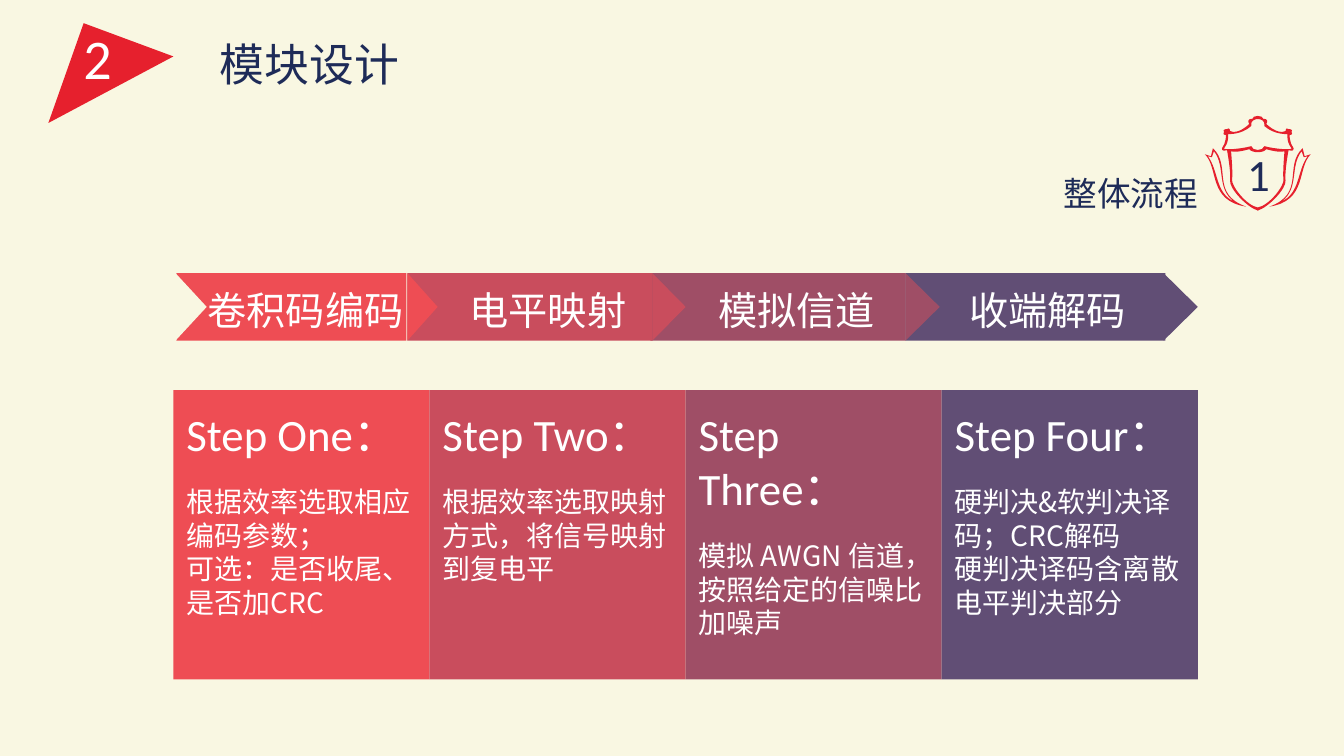
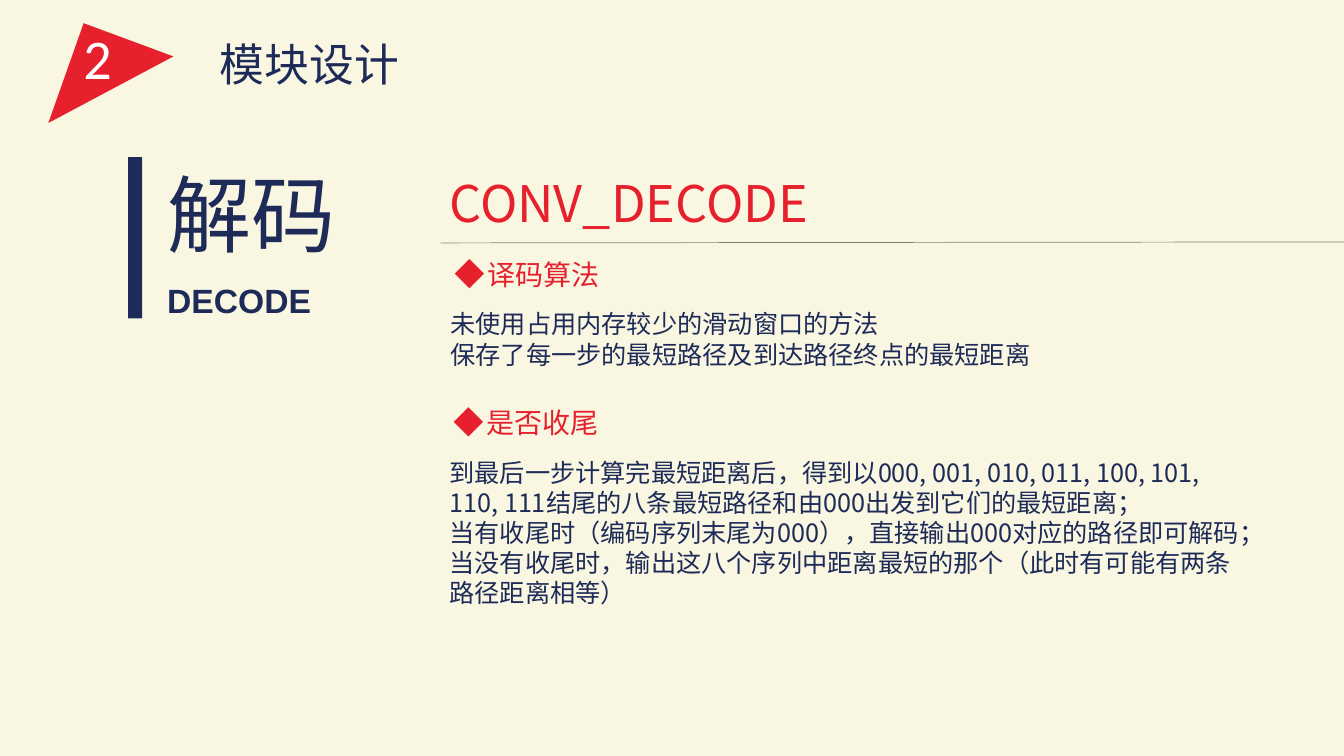
from dataclasses import dataclass

from lxml.etree import SubElement
from pptx import Presentation
from pptx.dml.color import RGBColor
from pptx.enum.shapes import MSO_CONNECTOR, MSO_SHAPE
from pptx.enum.text import MSO_ANCHOR, MSO_AUTO_SIZE, PP_ALIGN
from pptx.oxml.ns import qn
from pptx.util import Inches, Pt


@dataclass(frozen=True)
class Theme:
    cream: str = "F9F7E2"
    navy: str = "1E2B58"
    red: str = "E6202D"
    white: str = "FFFFFF"
    gray: str = "808080"
    steps: tuple = ("EE4D54", "C94D5D", "9F4E66", "614E75")
    chinese: str = "Noto Sans CJK SC"
    latin: str = "Calibri"
    accent: str = "Arial"
    huge: int = 60
    number: int = 40
    topic: int = 36
    title: int = 32
    label: int = 28
    subtitle: int = 24
    text: int = 20
    small: int = 18
    leading: float = 1.2


THEME = Theme()

TITLE = "模块设计"
CHAPTER = "2"
SECTION = ("1", "整体流程")
STEPS = [
    ("卷积码编码", "Step One：", ["根据效率选取相应编码参数；", "可选：是否收尾、是否加CRC"]),
    ("电平映射", "Step Two：", ["根据效率选取映射方式，将信号映射到复电平"]),
    ("模拟信道", "Step Three：", ["模拟 AWGN 信道，按照给定的信噪比加噪声"]),
    ("收端解码", "Step Four：", ["硬判决&软判决译码；CRC解码", "硬判决译码含离散电平判决部分"]),
]
DECODE = ("解码", "DECODE")
TOPIC = "CONV_DECODE"
NOTES = [
    (4.37, 2.45, 1.28, "译码算法", [
        "未使用占用内存较少的滑动窗口的方法",
        "保存了每一步的最短路径及到达路径终点的最短距离",
    ]),
    (4.36, 3.92, 2.19, "是否收尾", [
        "到最后一步计算完最短距离后，得到以000, 001, 010, 011, 100, 101, 110, 111"
        "结尾的八条最短路径和由000出发到它们的最短距离；",
        "当有收尾时（编码序列末尾为000），直接输出000对应的路径即可解码；",
        "当没有收尾时，输出这八个序列中距离最短的那个（此时有可能有两条路径距离相等）",
    ]),
]

FLAG = [(0.83, 0.23), (1.72, 0.56), (0.48, 1.22)]
BAR_TOP, BAR_HEIGHT = 2.71, 0.67
BARS = [
    {"bar": (1.75, 2.28), "label": (1.9, 2.26), "tip": (4.04, 0.3)},
    {"bar": (4.04, 2.43), "label": (4.22, 2.43), "tip": (6.47, 0.33)},
    {"bar": (6.45, 2.53), "label": (6.65, 2.5), "tip": (8.98, 0.34)},
    {"bar": (8.98, 2.58), "label": (9.13, 2.52), "tip": (11.54, 0.34)},
]
NOTCH = (1.74, 0.31)
CARD_LEFT, CARD_TOP, CARD_WIDTH, CARD_HEIGHT = 1.72, 3.87, 2.54, 2.87
CARD_TEXT_HEIGHTS = [2.22, 1.88, 1.88, 2.56]

CREST_MIRROR = 24.95
CREST_LEAVES = [
    [(12.36, 2.05), (12, 1.92), (12.22, 1.65), (12.03, 1.47),
     (12.01, 1.55), (12.01, 1.55), (12.01, 1.55),
     (11.95, 1.53), (11.95, 1.53), (11.95, 1.53),
     (12.09, 1.67), (11.98, 1.99), (12.36, 2.05)],
    [(11.98, 1.55), (12.02, 1.56), (12.02, 1.56), (12.02, 1.56),
     (12.04, 1.5), (12.04, 1.5), (12.04, 1.5),
     (12.16, 1.65), (12.06, 1.87), (12.24, 2),
     (12.05, 1.91), (12.09, 1.7), (11.98, 1.55)],
]
CREST_HALVES = [
    [(12.48, 2.06), (12.36, 2.04), (12.21, 1.84), (12.22, 1.78),
     (12.23, 1.72), (12.21, 1.5), (12.21, 1.5),
     (12.26, 1.52), (12.39, 1.48), (12.39, 1.48), (12.42, 1.52)],
    [(12.48, 1.18), (12.44, 1.18), (12.4, 1.2), (12.41, 1.25),
     (12.31, 1.34), (12.18, 1.33), (12.18, 1.33),
     (12.19, 1.42), (12.14, 1.47), (12.14, 1.47),
     (12.13, 1.49), (12.3, 1.48), (12.41, 1.45), (12.42, 1.5)],
    [(12.48, 2.09), (12.37, 2.06), (12.19, 1.87), (12.2, 1.79),
     (12.21, 1.7), (12.17, 1.49), (12.17, 1.49),
     (12.11, 1.51), (12.12, 1.47), (12.12, 1.47),
     (12.16, 1.42), (12.16, 1.34), (12.16, 1.34),
     (12.12, 1.34), (12.14, 1.31), (12.14, 1.31),
     (12.12, 1.28), (12.17, 1.28), (12.17, 1.28),
     (12.2, 1.26), (12.2, 1.3), (12.2, 1.3),
     (12.28, 1.34), (12.39, 1.23), (12.39, 1.23),
     (12.36, 1.17), (12.42, 1.18), (12.42, 1.18), (12.42, 1.14)],
]
CREST_BOX = (11.95, 1.14, 1.05, 0.95)


def color(value):
    return RGBColor.from_string(value)


def write(frame, text, *, size, tint=THEME.navy, font=THEME.chinese, bold=False,
          align=PP_ALIGN.LEFT, before=0, leading=None, indent=0):
    para = frame.paragraphs[0] if not frame.text else frame.add_paragraph()
    para.alignment = align
    para.space_before = Pt(before)
    para.line_spacing = Pt(leading or round(size * THEME.leading, 1))
    if indent:
        para._p.get_or_add_pPr().set("marL", str(Inches(indent)))
    span = para.add_run()
    span.text = text
    span.font.size = Pt(size)
    span.font.bold = bold
    span.font.name = font
    span.font.color.rgb = color(tint)
    east_asian = SubElement(span._r.get_or_add_rPr(), qn("a:ea"))
    east_asian.set("typeface", THEME.chinese)


def place(box, left, top, width, height):
    box.left, box.top, box.width, box.height = map(Inches, (left, top, width, height))


def text_frame(slide, left, top, width, height):
    box = slide.shapes.add_textbox(*map(Inches, (left, top, width, height)))
    box.text_frame.word_wrap = True
    return box.text_frame


def paint(shape, fill):
    shape.shadow.inherit = False
    shape.fill.solid()
    shape.fill.fore_color.rgb = color(fill)
    shape.line.fill.background()


def add_block(slide, kind, left, top, width, height, fill):
    shape = slide.shapes.add_shape(kind, *map(Inches, (left, top, width, height)))
    paint(shape, fill)
    return shape


def add_tip(slide, left, width, fill):
    offset = (BAR_HEIGHT - width) / 2
    tip = add_block(slide, MSO_SHAPE.ISOSCELES_TRIANGLE, left - offset,
                    BAR_TOP + offset, BAR_HEIGHT, width, fill)
    tip.rotation = 90


def add_outline(slide, points, fill):
    corners = [(Inches(x), Inches(y)) for x, y in points]
    builder = slide.shapes.build_freeform(*corners[0])
    builder.add_line_segments(corners[1:], close=True)
    shape = builder.convert_to_shape()
    paint(shape, fill)
    return shape


def mirror(points):
    return [(CREST_MIRROR - x, y) for x, y in points]


def add_crest(slide):
    curves = CREST_LEAVES + [mirror(leaf) for leaf in CREST_LEAVES]
    curves += [half + mirror(half[::-1]) for half in CREST_HALVES]
    left, top, width, height = CREST_BOX
    corners = [(left, top), (left + width, top), (left + width, top + height)]
    crest = add_outline(slide, corners, THEME.red)
    drawing = next(crest._element.iter(qn("a:path")))
    for command in list(drawing):
        drawing.remove(command)

    def add_command(name, points):
        command = SubElement(drawing, qn(name))
        for x, y in points:
            point = SubElement(command, qn("a:pt"))
            point.set("x", str(Inches(x - left)))
            point.set("y", str(Inches(y - top)))

    for curve in curves:
        add_command("a:moveTo", curve[:1])
        for start in range(1, len(curve), 3):
            add_command("a:cubicBezTo", curve[start:start + 3])
        add_command("a:close", [])


def start_slide(deck):
    slide = deck.slides.add_slide(deck.slide_layouts[5])
    title = slide.shapes.title
    place(title, 2.08, 0.31, 1.99, 0.64)
    frame = title.text_frame
    frame.auto_size = MSO_AUTO_SIZE.NONE
    frame.vertical_anchor = MSO_ANCHOR.TOP
    frame.word_wrap = True
    write(frame, TITLE, size=THEME.title)
    add_outline(slide, FLAG, THEME.red)
    write(text_frame(slide, 0.73, 0.18, 0.54, 0.77), CHAPTER,
          size=THEME.number, tint=THEME.white, font=THEME.latin)
    return slide


def build_process(deck):
    slide = start_slide(deck)
    number, name = SECTION
    add_crest(slide)
    write(text_frame(slide, 12.27, 1.41, 0.46, 0.64), number,
          size=THEME.title, font=THEME.latin)
    write(text_frame(slide, 9.61, 1.67, 2.37, 0.5), name,
          size=THEME.subtitle, align=PP_ALIGN.RIGHT)

    cards = zip(THEME.steps, STEPS, CARD_TEXT_HEIGHTS)
    for index, (fill, (_, heading, lines), height) in enumerate(cards):
        left = CARD_LEFT + index * CARD_WIDTH
        add_block(slide, MSO_SHAPE.RECTANGLE, left, CARD_TOP, CARD_WIDTH, CARD_HEIGHT, fill)
        frame = text_frame(slide, left + 0.03, 3.99, 2.49, height)
        write(frame, heading, size=THEME.title, tint=THEME.white, font=THEME.latin)
        for row, line in enumerate(lines):
            write(frame, line, size=THEME.text, tint=THEME.white, before=0 if row else 17)

    for bar, fill, (label, _, _) in reversed(list(zip(BARS, THEME.steps, STEPS))):
        left, width = bar["bar"]
        add_block(slide, MSO_SHAPE.RECTANGLE, left, BAR_TOP, width, BAR_HEIGHT, fill)
        left, width = bar["label"]
        write(text_frame(slide, left, 2.79, width, 0.57), label,
              size=THEME.label, tint=THEME.white, align=PP_ALIGN.CENTER)
        add_tip(slide, *bar["tip"], fill)
    add_tip(slide, *NOTCH, THEME.cream)


def build_decode(deck):
    slide = start_slide(deck)
    write(text_frame(slide, 4.36, 1.66, 4.11, 0.71), TOPIC, size=THEME.topic, tint=THEME.red)
    rule = slide.shapes.add_connector(MSO_CONNECTOR.STRAIGHT, Inches(4.37), Inches(2.41),
                                      Inches(13.33), Inches(2.4))
    rule.line.color.rgb = color(THEME.gray)
    rule.line.width = Pt(0.5)
    SubElement(rule._element.spPr, qn("a:effectLst"))

    chinese, english = DECODE
    frame = text_frame(slide, 1.56, 1.56, 2.09, 1.68)
    write(frame, chinese, size=THEME.huge)
    write(frame, english, size=THEME.subtitle, font=THEME.accent, bold=True, before=12)
    add_block(slide, MSO_SHAPE.RECTANGLE, 1.27, 1.56, 0.14, 1.6, THEME.navy)

    for left, top, height, heading, lines in NOTES:
        frame = text_frame(slide, left, top, 8.15, height)
        write(frame, heading, size=THEME.text, tint=THEME.red, leading=28, indent=0.37)
        for row, line in enumerate(lines):
            write(frame, line, size=THEME.small, before=0 if row else 12.5)
        add_block(slide, MSO_SHAPE.DIAMOND, left + 0.14, top + 0.12, 0.29, 0.29, THEME.red)


def main():
    deck = Presentation()
    deck.slide_width, deck.slide_height = Inches(13.33), Inches(7.5)
    background = deck.slide_master.background.fill
    background.solid()
    background.fore_color.rgb = color(THEME.cream)
    build_process(deck)
    build_decode(deck)
    deck.save("out.pptx")


if __name__ == "__main__":
    main()
